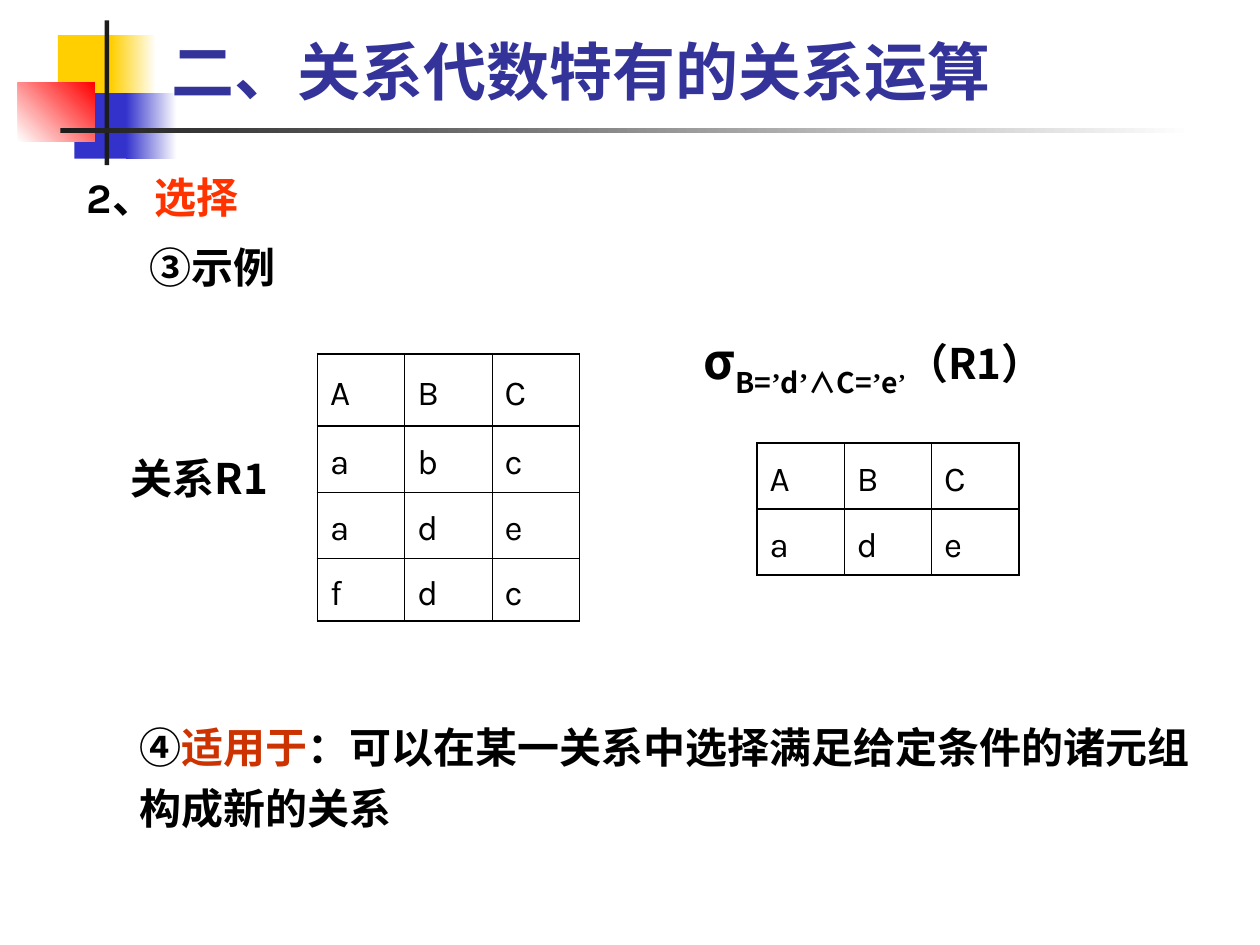
from dataclasses import dataclass
from typing import Optional

import pptx
import pptx.dml.color
import pptx.enum.shapes
import pptx.enum.text
import pptx.oxml
import pptx.oxml.ns
import pptx.util
from pptx.util import Cm

RGBColor = pptx.dml.color.RGBColor
Anchor = pptx.enum.text.MSO_ANCHOR
BLACK = RGBColor(0x00, 0x00, 0x00)
WHITE = RGBColor(0xFF, 0xFF, 0xFF)
YELLOW = RGBColor(0xFF, 0xCF, 0x01)
BLUE = RGBColor(0x33, 0x33, 0xCC)
RED = RGBColor(0xFF, 0x00, 0x00)
CHARCOAL = RGBColor(0x1C, 0x1C, 0x1C)
TITLE_BLUE = RGBColor(0x33, 0x33, 0x99)
ORANGE = RGBColor(0xFF, 0x33, 0x00)
RUST = RGBColor(0xCC, 0x33, 0x00)

KARLA = "Karla"
NOTO = "Noto Sans CJK SC"
TIMES = "Times New Roman"
THICK, THIN = 1.08, 0.45
COLUMN_WIDTH = 1.76


@dataclass
class Block:
    left: float
    top: float
    width: float
    height: float
    start: RGBColor
    end: Optional[RGBColor] = None
    angle: float = 0


@dataclass
class Span:
    text: str
    color: RGBColor = BLACK
    latin: str = NOTO
    size: float = 24
    baseline: int = 0
    bold: bool = True


@dataclass
class Line:
    spans: list[Span]
    level: int = 0
    margin: float = 0
    indent: float = 0
    spacing: Optional[float] = None
    before: float = 0
    centred: bool = False


def draw_block(slide, block: Block) -> None:
    shape = slide.shapes.add_shape(
        pptx.enum.shapes.MSO_SHAPE.RECTANGLE,
        Cm(block.left), Cm(block.top), Cm(block.width), Cm(block.height))
    shape.shadow.inherit = False
    shape.line.fill.background()
    if block.end is None:
        shape.fill.solid()
        shape.fill.fore_color.rgb = block.start
        return
    shape.fill.gradient()
    shape.fill.gradient_angle = block.angle
    for stop, color, position in zip(shape.fill.gradient_stops, (block.start, block.end), (0, 1)):
        stop.color.rgb = color
        stop.position = position


def write_line(paragraph, line: Line) -> None:
    properties = paragraph._p.get_or_add_pPr()
    properties.set("marL", str(Cm(line.margin)))
    properties.set("indent", str(Cm(line.indent)))
    paragraph.level = line.level
    if line.spacing:
        paragraph.line_spacing = line.spacing
    if line.before:
        paragraph.space_before = pptx.util.Pt(line.before)
    if line.centred:
        paragraph.alignment = pptx.enum.text.PP_ALIGN.CENTER
    for span in line.spans:
        run = paragraph.add_run()
        run.text = span.text
        run.font.name = span.latin
        run.font.size = pptx.util.Pt(span.size)
        run.font.bold = span.bold
        run.font.color.rgb = span.color
        run_properties = run._r.get_or_add_rPr()
        if span.baseline:
            run_properties.set("baseline", str(span.baseline * 1000))
        east_asian = pptx.oxml.parse_xml(
            f'<a:ea {pptx.oxml.ns.nsdecls("a")} '
            f'typeface="{TIMES if span.latin == TIMES else NOTO}"/>')
        run_properties.find(pptx.oxml.ns.qn("a:latin")).addnext(east_asian)


def draw_text(slide, left: float, top: float, width: float, height: float,
              lines: list[Line], wrap: bool = True, anchor=Anchor.TOP) -> None:
    frame = slide.shapes.add_textbox(Cm(left), Cm(top), Cm(width), Cm(height)).text_frame
    frame.word_wrap = wrap
    frame.vertical_anchor = anchor
    for index, line in enumerate(lines):
        write_line(frame.add_paragraph() if index else frame.paragraphs[0], line)


def draw_borders(cell, widths: dict[str, float]) -> None:
    for side, width in widths.items():
        cell._tc.get_or_add_tcPr().append(pptx.oxml.parse_xml(
            f'<a:ln{side} {pptx.oxml.ns.nsdecls("a")} w="{pptx.util.Pt(width)}">'
            f'<a:solidFill><a:srgbClr val="{BLACK}"/></a:solidFill></a:ln{side}>'))


def draw_relation(slide, left: float, top: float, heights: list[float], rows: list[str]) -> None:
    """Each row is a string with one letter per column."""
    last_row, last_column = len(rows) - 1, len(rows[0]) - 1
    table = slide.shapes.add_table(
        len(rows), len(rows[0]), Cm(left), Cm(top),
        Cm(COLUMN_WIDTH * len(rows[0])), Cm(sum(heights))).table
    table.first_row = table.horz_banding = False
    for column in table.columns:
        column.width = Cm(COLUMN_WIDTH)
    for r, (height, letters) in enumerate(zip(heights, rows)):
        table.rows[r].height = Cm(height)
        for c, letter in enumerate(letters):
            cell = table.cell(r, c)
            cell.vertical_anchor = Anchor.MIDDLE
            write_line(cell.text_frame.paragraphs[0],
                       Line([Span(letter, latin=KARLA, size=20, bold=False)], spacing=1.2))
            draw_borders(cell, {
                "L": THICK if c == 0 else THIN,
                "R": THICK if c == last_column else THIN,
                "T": THICK if r <= 1 else THIN,
                "B": THICK if r in (0, last_row) else THIN})
            cell.fill.background()


def main() -> None:
    deck = pptx.Presentation()
    deck.slide_width, deck.slide_height = Cm(25.4), Cm(19.05)
    slide = deck.slides.add_slide(deck.slide_layouts[6])

    # Corner ornament and title rule
    for block in (
        Block(1.17, 0.71, 1.22, 1.32, YELLOW),
        Block(2.24, 0.71, 0.91, 1.32, YELLOW, WHITE),
        Block(1.5, 1.88, 1.17, 1.32, BLUE),
        Block(2.54, 1.88, 1.02, 1.32, BLUE, WHITE),
        Block(0.36, 1.67, 1.55, 1.18, WHITE, RED, 45),
        Block(2.11, 0.41, 0.09, 2.92, CHARCOAL),
        Block(1.22, 2.58, 22.86, 0.1, CHARCOAL, WHITE),
    ):
        draw_block(slide, block)

    # Section heading and example
    draw_text(slide, 1.5, 3.12, 22.4, 15.19, [
        Line([Span("2", latin=KARLA), Span("、"), Span("选择", ORANGE)],
             margin=0.95, indent=-0.95, spacing=1.2),
        Line([Span("③示例")], level=1, margin=2.06, indent=-0.79, spacing=1.2, before=6),
    ])

    # Relation R1 and the selection result
    draw_relation(slide, 6.4, 7.13, [1.46, 1.33, 1.33, 1.27], ["ABC", "abc", "ade", "fdc"])
    draw_text(slide, 2.31, 8.99, 3.43, 1.27, [Line([Span("关系R1")], centred=True)])

    condition = [Span(text, latin=TIMES if text == "’" else NOTO, size=28, baseline=-30)
                 for text in ("B=", "’", "d", "’", "∧C=", "’", "e")]
    draw_text(slide, 13.94, 6.53, 8.08, 1.65, [Line([
        Span("σ", size=28), *condition,
        Span("’", latin=TIMES, baseline=-30), Span("（R1）")])], wrap=False)
    draw_relation(slide, 15.26, 8.93, [1.33, 1.33], ["ABC", "ade"])

    # Title
    draw_text(slide, 3.2, 0.58, 21.64, 1.73, [
        Line([Span("二、关系代数特有的关系运算", TITLE_BLUE, KARLA, 36)])], anchor=Anchor.BOTTOM)

    # Where selection applies
    draw_text(slide, 1.3, 14.22, 23.01, 2.69, [Line([
        Span("④"), Span("适用于", RUST),
        Span("：可以在某一关系中选择满足给定条件的诸元组构成新的关系")],
        level=1, margin=1.27, spacing=1.2)])

    deck.save("out.pptx")


if __name__ == "__main__":
    main()
